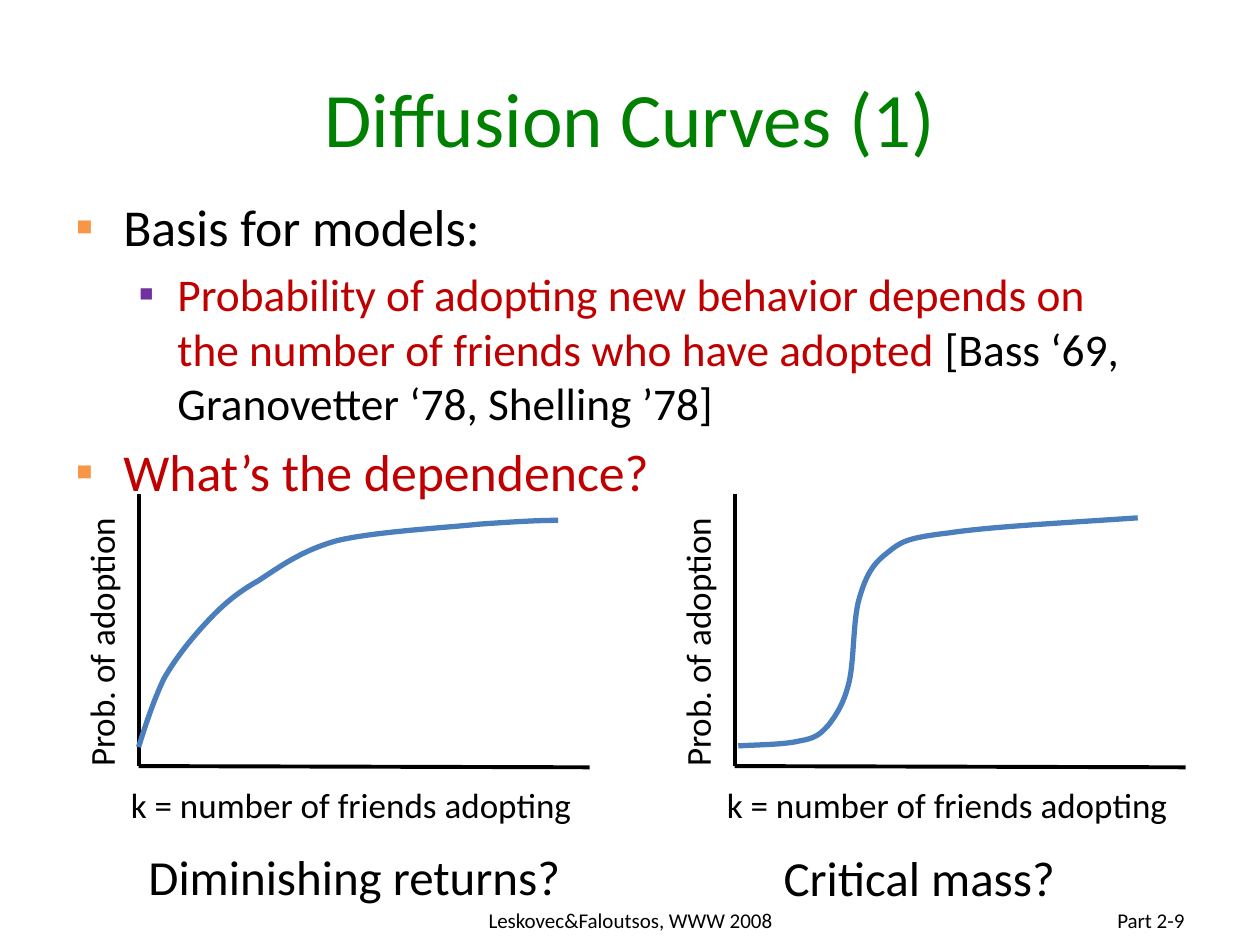
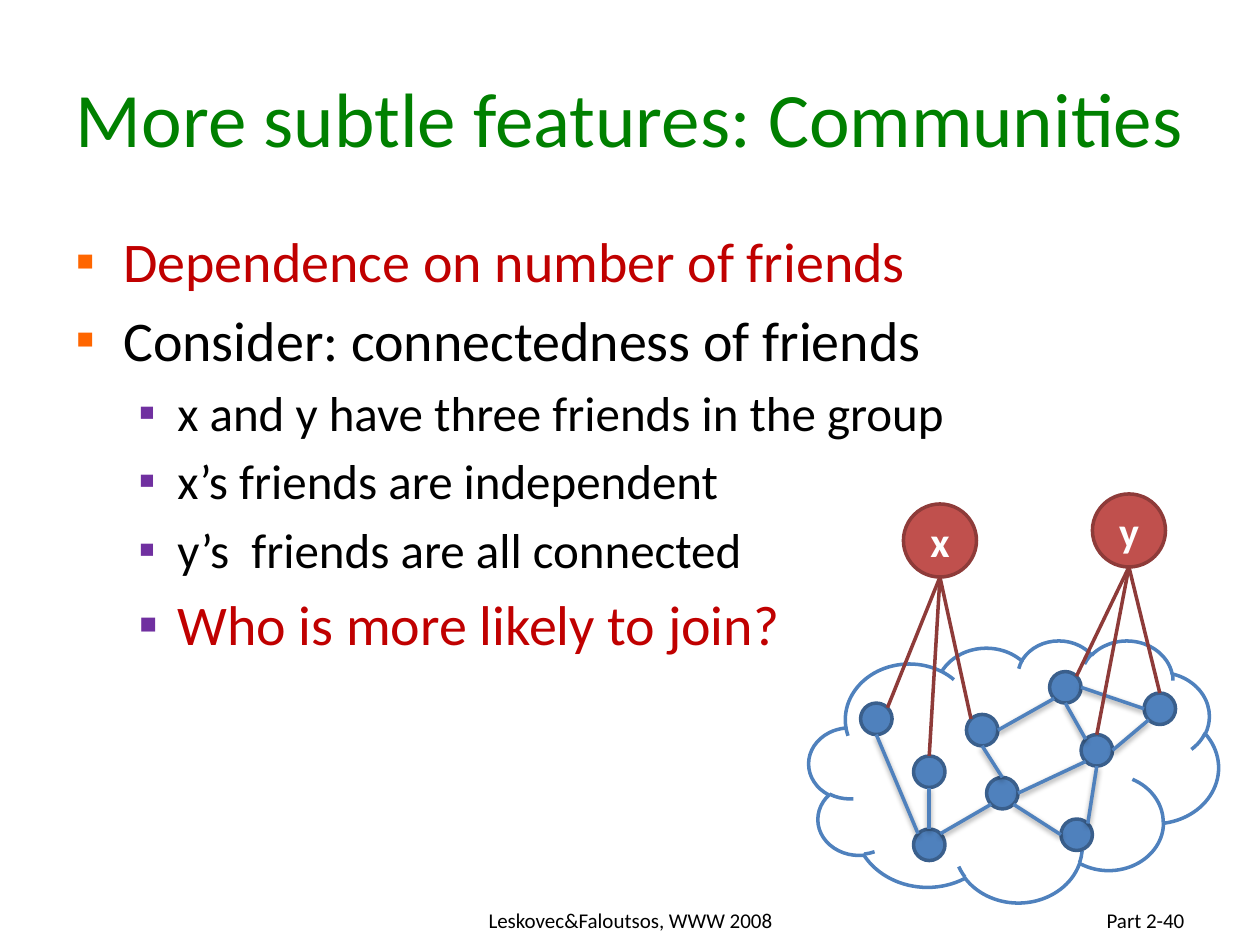
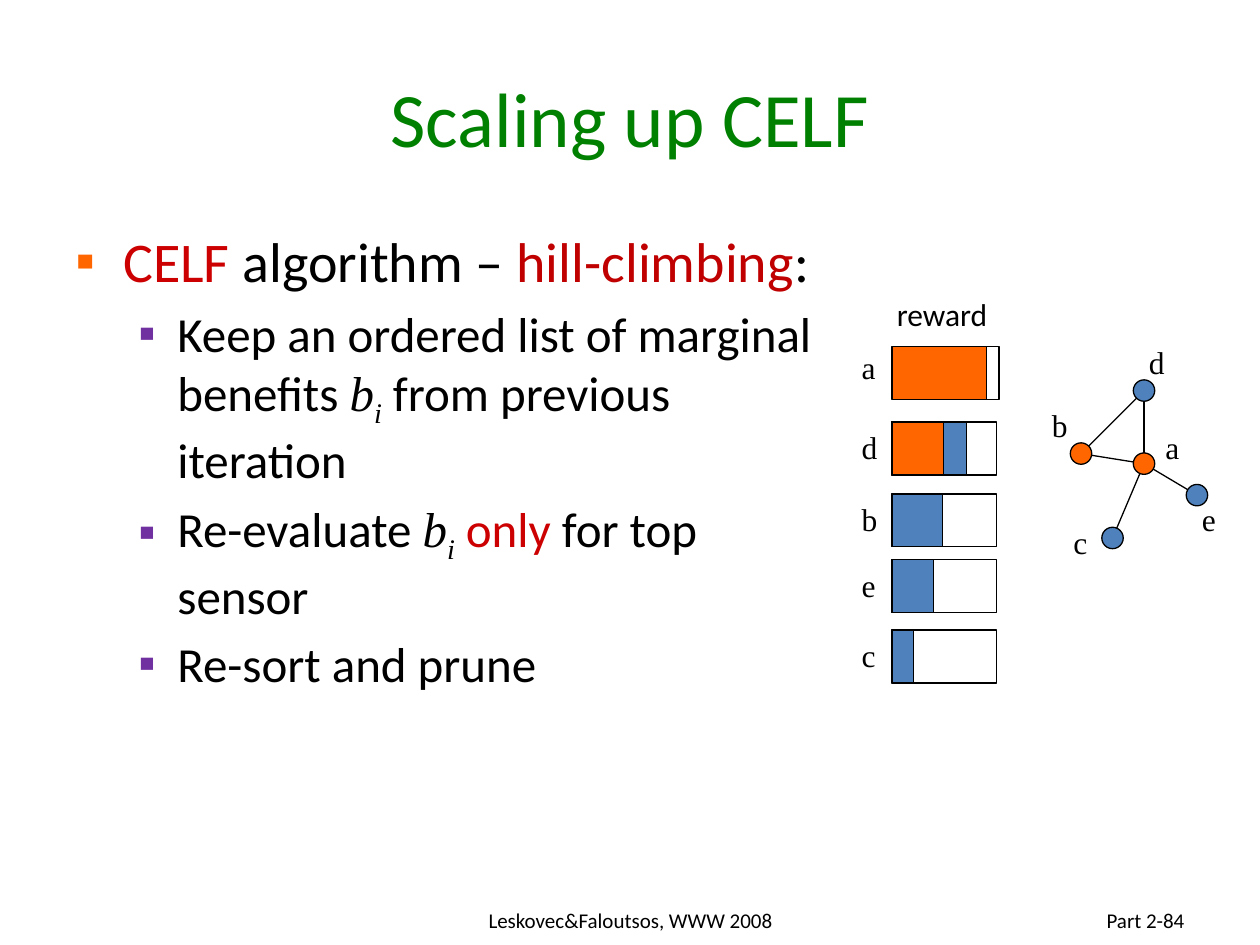
from math import cos, radians, sin

from pptx import Presentation
from pptx.dml.color import RGBColor
from pptx.enum.shapes import MSO_CONNECTOR, MSO_SHAPE
from pptx.enum.text import MSO_ANCHOR as Anchor
from pptx.enum.text import MSO_AUTO_SIZE, PP_ALIGN as Align
from pptx.oxml import parse_xml
from pptx.oxml.ns import nsdecls, qn
from pptx.util import Inches, Pt

BLACK = RGBColor(0x00, 0x00, 0x00)
WHITE = RGBColor(0xFF, 0xFF, 0xFF)
GREEN = RGBColor(0x00, 0x80, 0x00)
RED = RGBColor(0xC0, 0x00, 0x00)
BRIGHT_RED = RGBColor(0xCC, 0x00, 0x00)
PURPLE = RGBColor(0x70, 0x30, 0xA0)
ORANGE = RGBColor(0xFF, 0x66, 0x00)
SOFT_ORANGE = RGBColor(0xF7, 0x96, 0x46)
BLUE = RGBColor(0x4F, 0x81, 0xBD)
DARK_BLUE = RGBColor(0x3A, 0x5F, 0x8C)
CURVE_BLUE = RGBColor(0x4B, 0x7E, 0xBC)
BRICK = RGBColor(0xC0, 0x50, 0x4D)
DARK_BRICK = RGBColor(0x8E, 0x3B, 0x39)

SERIF = "Times New Roman"
BASE_FORMAT = {"name": "Calibri", "size": 18, "color": BLACK}
LINK_SHADOW = (
    '<a:outerShdw blurRad="40000" dist="20000" dir="5400000" rotWithShape="0">'
    '<a:srgbClr val="000000"><a:alpha val="38000"/></a:srgbClr></a:outerShdw>'
)


def add_text(target, paragraphs, align=Align.LEFT, anchor=Anchor.TOP, wrap=True, **common):
    """Fill a shape with paragraphs, each a list of (text, format) runs."""
    frame = target.text_frame
    frame.word_wrap = wrap
    frame.auto_size = MSO_AUTO_SIZE.NONE if wrap else MSO_AUTO_SIZE.SHAPE_TO_FIT_TEXT
    frame.vertical_anchor = anchor
    for index, runs in enumerate(paragraphs):
        paragraph = frame.paragraphs[0] if index == 0 else frame.add_paragraph()
        paragraph.alignment = align
        for text, own in runs:
            run = paragraph.add_run()
            run.text = text
            values = {**BASE_FORMAT, **common, **own}
            run.font.color.rgb = values.pop("color")
            run.font.size = Pt(values.pop("size"))
            if "baseline" in values:
                run.font._element.set("baseline", str(values.pop("baseline")))
            for name, value in values.items():
                setattr(run.font, name, value)
    return target


def draw(slide, kind, at, line=BLACK, width=0.75, fill=None, effect=""):
    """Draw a preset shape in a box or, with kind None, a line between two points."""
    lengths = [Inches(value) for value in at]
    if kind is None:
        item = slide.shapes.add_connector(MSO_CONNECTOR.STRAIGHT, *lengths)
    else:
        item = slide.shapes.add_shape(kind, *lengths)
        item.shadow.inherit = False
        if fill is None:
            item.fill.background()
        else:
            item.fill.solid()
            item.fill.fore_color.rgb = fill
    item.line.color.rgb = line
    item.line.width = Pt(width)
    if kind is None:
        effects = f'<a:effectLst {nsdecls("a")}>{effect}</a:effectLst>'
        item._element.spPr.append(parse_xml(effects))
    return item


presentation = Presentation()
presentation.slide_width = Inches(10)
presentation.slide_height = Inches(7.5)

# Shared frame: title, bulleted body and footer
BENEFIT = [("b", {"name": SERIF, "italic": True}),
           ("i", {"name": SERIF, "italic": True, "baseline": -25000})]
decks = [
    ("Diffusion Curves (1)", "Part 2-9", (0.5, 1.5, 8.75, 2.33), SOFT_ORANGE, (29.6, 25.9), [
        (0, [("Basis for models:", {})]),
        (1, [("Probability of adopting new behavior depends on the number of friends "
              "who have adopted ", {"color": RED}),
             ("[Bass ‘69, Granovetter ‘78, Shelling ’78]", {})]),
        (0, [("What’s the dependence?", {"color": RED})]),
    ]),
    ("More subtle features: Communities", "Part 2-40", (0.5, 1.75, 9, 4.95), ORANGE, (32, 28), [
        (0, [("Dependence on number of friends", {"color": RED})]),
        (0, [("Consider: connectedness of friends", {})]),
        (1, [("x and y have three friends in the group", {})]),
        (1, [("x’s friends are independent", {})]),
        (1, [("y’s  friends are all connected", {})]),
        (1, [("Who is more likely to join?", {"color": RED, "size": 32})]),
    ]),
    ("Scaling up CELF", "Part 2-84", (0.5, 1.75, 6.2, 5.25), ORANGE, (32, 28), [
        (0, [("CELF ", {"color": BRIGHT_RED}), ("algorithm – ", {}),
             ("hill-climbing", {"color": RED}), (":", {})]),
        (1, [("Keep an ordered list of marginal benefits ", {}), *BENEFIT,
             (" from previous iteration", {})]),
        (1, [("Re-evaluate ", {}), *BENEFIT,
             (" only", {"color": BRIGHT_RED}), (" for top sensor", {})]),
        (1, [("Re-sort and prune", {})]),
    ]),
]
INDENTS = [(0.38, -0.38), (0.81, -0.31)]
slides = []
for title, page, body_box, bullet_color, sizes, items in decks:
    slide = presentation.slides.add_slide(presentation.slide_layouts[6])
    slides.append(slide)
    for text, box, align, size, color in [
        (title, (0.5, 0.3, 9, 1.25), Align.CENTER, 44, GREEN),
        ("Leskovec&Faloutsos, WWW 2008", (3.42, 7.1, 3.17, 0.4), Align.CENTER, 12, BLACK),
        (page, (7.17, 7.1, 2.33, 0.4), Align.RIGHT, 12, BLACK),
    ]:
        textbox = slide.shapes.add_textbox(*map(Inches, box))
        add_text(textbox, [[(text, {})]], align, Anchor.MIDDLE, size=size, color=color)

    body = slide.shapes.add_textbox(*map(Inches, body_box))
    add_text(body, [[(text, {"size": sizes[level], **own}) for text, own in runs]
                    for level, runs in items])
    for index, (level, runs) in enumerate(items):
        paragraph = body.text_frame.paragraphs[index]
        paragraph.level = level
        if index:
            paragraph.space_before = Pt(round(0.2 * paragraph.runs[0].font.size.pt, 1))
        properties = paragraph._p.get_or_add_pPr()
        margin, indent = INDENTS[level]
        properties.set("marL", str(Inches(margin)))
        properties.set("indent", str(Inches(indent)))
        color = PURPLE if level else bullet_color
        for xml in (f'<a:buClr {nsdecls("a")}><a:srgbClr val="{color}"/></a:buClr>',
                    f'<a:buFont {nsdecls("a")} typeface="{SERIF}"/>',
                    f'<a:buChar {nsdecls("a")} char="▪"/>'):
            properties.append(parse_xml(xml))

curves_slide, communities_slide, celf_slide = slides

# Diffusion curves: each Bézier piece is (control, control, end)
plots = [
    (1.1, "Diminishing returns?", (1.08, 6.67, 3.51, 0.57), (1.1, 5.93), [
        ((1.16, 5.74), (1.22, 5.56), (1.3, 5.39)),
        ((1.39, 5.23), (1.51, 5.08), (1.63, 4.95)),
        ((1.75, 4.82), (1.87, 4.71), (2.05, 4.61)),
        ((2.22, 4.5), (2.39, 4.37), (2.68, 4.29)),
        ((2.98, 4.22), (3.52, 4.19), (3.81, 4.16)),
        ((4.1, 4.14), (4.27, 4.13), (4.43, 4.13)),
    ]),
    (5.83, "Critical mass?", (6.12, 6.68, 2.38, 0.57), (5.86, 5.92), [
        ((6.04, 5.91), (6.23, 5.91), (6.35, 5.88)),
        ((6.47, 5.86), (6.51, 5.83), (6.58, 5.75)),
        ((6.64, 5.67), (6.7, 5.58), (6.74, 5.41)),
        ((6.78, 5.24), (6.77, 4.92), (6.82, 4.75)),
        ((6.87, 4.58), (6.92, 4.48), (7.04, 4.39)),
        ((7.15, 4.3), (7.19, 4.27), (7.53, 4.23)),
        ((7.86, 4.18), (8.45, 4.15), (9.03, 4.11)),
    ]),
]
for left, caption, caption_box, start, pieces in plots:
    draw(curves_slide, None, (left, 3.92, left, 6.08), width=2.25)
    draw(curves_slide, None, (left, 6.08, left + 3.58, 6.09), width=2.25)
    for text, box, size, rotation in [
        ("k = number of friends adopting", (left - 0.16, 6.17, 3.73, 0.44), 20, 0),
        ("Prob. of adoption", (left - 1.39, 4.87, 2.19, 0.44), 20, 270),
        (caption, caption_box, 28, 0),
    ]:
        label = curves_slide.shapes.add_textbox(*map(Inches, box))
        label.rotation = rotation
        add_text(label, [[(text, {})]], wrap=False, size=size)

    builder = curves_slide.shapes.build_freeform(*map(Inches, start))
    builder.add_line_segments([tuple(map(Inches, piece[-1])) for piece in pieces], close=False)
    curve = builder.convert_to_shape()
    curve.shadow.inherit = False
    curve.fill.background()
    curve.line.color.rgb = CURVE_BLUE
    curve.line.width = Pt(3)
    for segment, piece in zip(list(curve._element.iter(qn("a:lnTo"))), pieces):
        points = "".join(f'<a:pt x="{Inches(x) - curve.left}" y="{Inches(y) - curve.top}"/>'
                         for x, y in piece)
        bezier = parse_xml(f'<a:cubicBezTo {nsdecls("a")}>{points}</a:cubicBezTo>')
        segment.getparent().replace(segment, bezier)

# Communities: members in a cloud, links between compass points of circles
draw(communities_slide, MSO_SHAPE.CLOUD, (6.42, 5.08, 3.25, 2.08), BLUE, 2, WHITE)
members = {
    "a": (7.67, 5.67), "b": (7.83, 6.17), "c": (7.25, 6), "d": (8.58, 5.83), "e": (9.08, 5.5),
    "f": (6.83, 5.58), "g": (8.33, 5.33), "h": (8.42, 6.5), "i": (7.25, 6.58),
}
newcomers = {"x": (7.17, 4), "y": (8.67, 3.92)}
circles = {}
for group, size, fill, line in [(members, 0.25, BLUE, DARK_BLUE),
                                (newcomers, 0.58, BRICK, DARK_BRICK)]:
    for name, (left, top) in group.items():
        circle = draw(communities_slide, MSO_SHAPE.OVAL, (left, top, size, size), line, 2, fill)
        circles[name] = (left + size / 2, top + size / 2, size / 2)
        if group is newcomers:
            add_text(circle, [[(name, {})]], Align.CENTER, Anchor.MIDDLE,
                     size=24, bold=True, color=WHITE)

COMPASS = {name: radians(45 * turn)
           for turn, name in enumerate(["E", "NE", "N", "NW", "W", "SW", "S", "SE"])}
friendships = ["i NW f S", "d E e SW", "g S d NW", "g E e W", "g SW a E", "b SW i NE",
               "b N a S", "i N c S", "d SW b E", "d S h NE", "h W b SE"]
invitations = ["f NE x S", "a NW x S", "c N x S", "g NE y S", "e N y S", "d N y S"]
for links, color, effect in [(friendships, BLUE, LINK_SHADOW), (invitations, DARK_BRICK, "")]:
    for link in links:
        begin, begin_side, end, end_side = link.split()
        ends = []
        for name, side in [(begin, begin_side), (end, end_side)]:
            x, y, radius = circles[name]
            ends += [x + radius * cos(COMPASS[side]), y - radius * sin(COMPASS[side])]
        draw(communities_slide, None, ends, color, 2, effect=effect)

# CELF: reward bars as (sensor, left, top, label top, filled parts)
BAR_WIDTH, BAR_HEIGHT = 0.83, 0.42
bars = [
    ("a", 7.1, 2.75, 2.71, [(0.75, ORANGE)]),
    ("d", 7.08, 3.35, 3.35, [(0.59, BLUE), (0.41, ORANGE)]),
    ("b", 7.08, 3.92, 3.92, [(0.4, BLUE)]),
    ("e", 7.08, 4.44, 4.44, [(0.33, BLUE)]),
    ("c", 7.08, 5, 5, [(0.17, BLUE)]),
]
labels = [("reward", 7.02, 2.29, 0.97, "Calibri")]
for sensor, left, top, label_top, parts in bars:
    draw(celf_slide, MSO_SHAPE.RECTANGLE, (left, top, BAR_WIDTH, BAR_HEIGHT))
    for width, color in parts:
        draw(celf_slide, MSO_SHAPE.RECTANGLE, (7.08, top, width, BAR_HEIGHT), fill=color)
    labels.append((sensor, 6.74, label_top, 0.33, SERIF))

# CELF: sensor network as centre, fill and label corner
sensors = {
    "a": (9.08, 3.68, ORANGE, 9.15, 3.35),
    "b": (8.58, 3.6, ORANGE, 8.25, 3.17),
    "c": (8.83, 4.27, BLUE, 8.42, 4.1),
    "d": (9.08, 3.1, BLUE, 9.02, 2.67),
    "e": (9.5, 3.93, BLUE, 9.44, 3.92),
}
for begin, end in ["db", "ac", "da", "ea", "ab"]:
    draw(celf_slide, None, sensors[begin][:2] + sensors[end][:2])
DOT = 0.17
for sensor, (x, y, color, label_left, label_top) in sensors.items():
    draw(celf_slide, MSO_SHAPE.OVAL, (x - DOT / 2, y - DOT / 2, DOT, DOT), fill=color)
    labels.append((sensor, label_left, label_top, 0.33, SERIF))
for text, left, top, width, font in labels:
    label = celf_slide.shapes.add_textbox(*map(Inches, (left, top, width, 0.4)))
    add_text(label, [[(text, {})]], wrap=False, name=font)

presentation.save("out.pptx")
